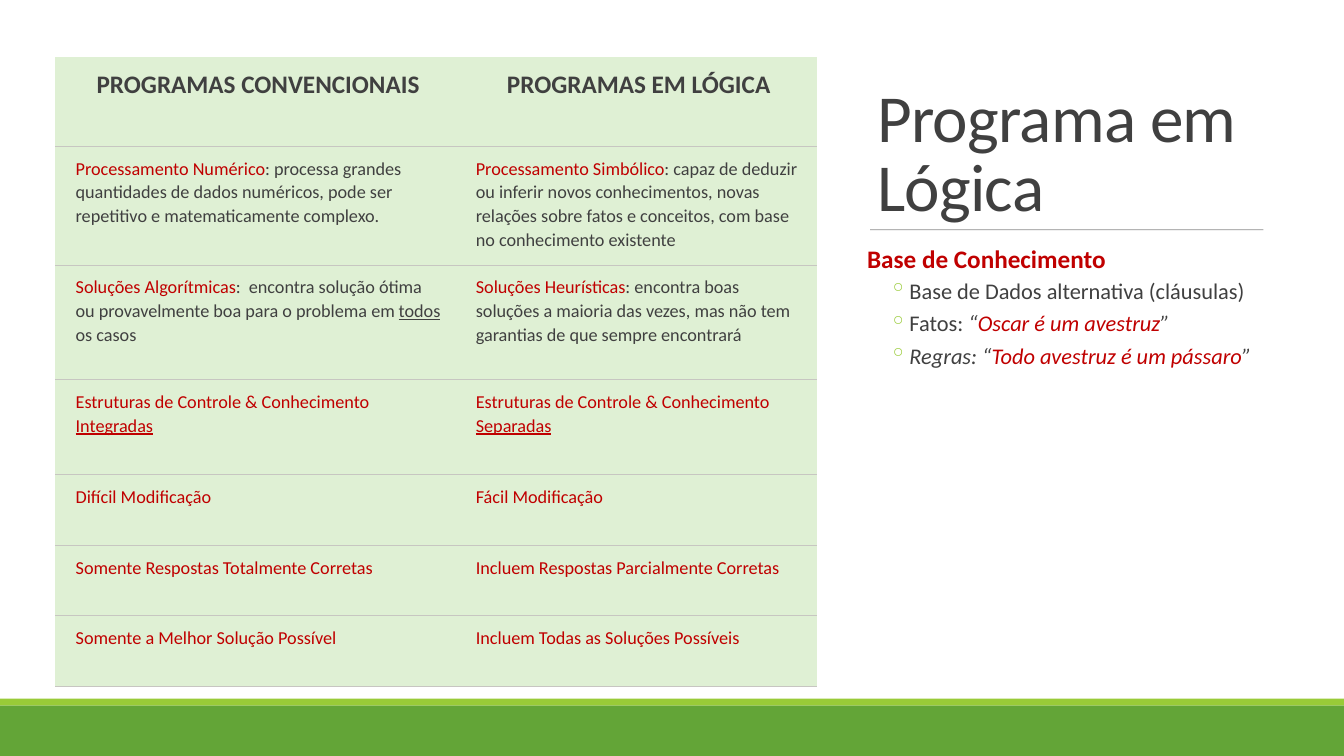
from dataclasses import dataclass
from itertools import product
from typing import NamedTuple

from lxml.etree import SubElement
from pptx import Presentation
from pptx.dml.color import RGBColor
from pptx.enum.shapes import MSO_CONNECTOR, MSO_SHAPE
from pptx.enum.text import MSO_ANCHOR, PP_ALIGN
from pptx.oxml import parse_xml
from pptx.oxml.ns import nsdecls, qn
from pptx.util import Inches, Pt

WIDE, HIGH = Inches(13.33), Inches(7.5)
INK, RED, LIME, GREEN, PALE, RULE = (
    "404040", "C00000", "99CB38", "63A537", "DFF0D4", "C7C6C1")


class Run(NamedTuple):
    text: str
    color: str = INK
    look: dict = {}


@dataclass
class Para:
    runs: list[Run]
    size: float
    form: dict
    indent: float = 0
    hang: float = 0
    bullet: str = ""


@dataclass
class Box:
    """Left, top, width and height in percent of the slide."""
    left: float
    top: float
    width: float
    height: float

    def place(self) -> tuple[int, int, int, int]:
        return across(self.left), down(self.top), across(self.width), down(self.height)


def across(share: float) -> int:
    return int(WIDE * share / 100)


def down(share: float) -> int:
    return int(HIGH * share / 100)


def tint(code: str) -> RGBColor:
    return RGBColor.from_string(code)


def apply(item, values: dict) -> None:
    for name, value in values.items():
        setattr(item, name, value)


def write(frame, paras: list[Para]) -> None:
    for rank, para in enumerate(paras):
        line = frame.add_paragraph() if rank else frame.paragraphs[0]
        apply(line, para.form)
        if para.indent:
            props = line._p.get_or_add_pPr()
            props.set("marL", str(Inches(para.indent)))
            props.set("indent", str(-Inches(para.hang)))
            if para.bullet:
                color = SubElement(props, qn("a:buClr"))
                SubElement(color, qn("a:srgbClr"), val=LIME)
                SubElement(props, qn("a:buChar"), char=para.bullet)
        for part in para.runs:
            run = line.add_run()
            run.text = part.text
            apply(run.font, {"name": "Calibri", "size": Pt(para.size), **part.look})
            run.font.color.rgb = tint(part.color)


def add_text(slide, box: Box, paras: list[Para], form: dict):
    frame = slide.shapes.add_textbox(*box.place()).text_frame
    apply(frame, {"word_wrap": True, **form})
    write(frame, paras)
    return frame


def add_bar(slide, box: Box, color: str) -> None:
    bar = slide.shapes.add_shape(MSO_SHAPE.RECTANGLE, *box.place())
    bar.shadow.inherit = False
    bar.fill.solid()
    bar.fill.fore_color.rgb = tint(color)
    bar.line.fill.background()


def add_rule(slide, left: float, right: float, top: float) -> None:
    rule = slide.shapes.add_connector(
        MSO_CONNECTOR.STRAIGHT, across(left), down(top), across(right), down(top))
    rule.line.width = Pt(0.5)
    rule.line.color.rgb = tint("808080")
    shade = rule.line._ln.find(".//" + qn("a:srgbClr"))
    SubElement(shade, qn("a:alpha"), val="90000")
    SubElement(rule._element.spPr, qn("a:effectLst"))


def set_edges(cell, first: bool) -> None:
    """Rule the cell above and below, with no line on the table's top."""
    drawn = {"L": False, "R": False, "T": not first, "B": True}
    for spot, (side, shown) in enumerate(drawn.items()):
        fill = (f'<a:solidFill><a:srgbClr val="{RULE}"/></a:solidFill>'
                if shown else "<a:noFill/>")
        edge = f'<a:ln{side} {nsdecls("a")} w="{Pt(0.75)}">{fill}</a:ln{side}>'
        cell._tc.get_or_add_tcPr().insert(spot, parse_xml(edge))


def add_grid(slide, left: float, top: float, cols: list[float],
             rows: list[float], cells: list[list[list[Run]]]) -> None:
    box = Box(left, top, sum(cols), sum(rows))
    table = slide.shapes.add_table(len(rows), len(cols), *box.place()).table
    apply(table, {"first_row": False, "horz_banding": False})
    for col, share in zip(table.columns, cols):
        col.width = across(share)
    for row, share in zip(table.rows, rows):
        row.height = down(share)
    for r, c in product(range(len(rows)), range(len(cols))):
        cell = table.cell(r, c)
        apply(cell, {"margin_left": Inches(0.2), "margin_right": Inches(0.15),
                     "margin_top": Inches(0.1), "margin_bottom": Inches(0.1)})
        cell.fill.solid()
        cell.fill.fore_color.rgb = tint(PALE)
        set_edges(cell, r == 0)
        align = PP_ALIGN.LEFT if r else PP_ALIGN.CENTER
        form = {"line_spacing": 1.07, "alignment": align}
        write(cell.text_frame, [Para(cells[r][c], 13 if r else 18, form)])


BOLD, SLANT, UNDER = {"bold": True}, {"italic": True}, {"underline": True}
CONTROL = Run("Estruturas de Controle & Conhecimento ", RED)
CELLS = [
    [[Run("PROGRAMAS CONVENCIONAIS", INK, BOLD)],
     [Run("PROGRAMAS EM LÓGICA", INK, BOLD)]],
    [[Run("Processamento Numérico", RED),
      Run(": processa grandes quantidades de dados numéricos, pode ser "
          "repetitivo e matematicamente complexo.")],
     [Run("Processamento Simbólico", RED),
      Run(": capaz de deduzir ou inferir novos conhecimentos, novas relações "
          "sobre fatos e conceitos, com base no conhecimento existente")]],
    [[Run("Soluções Algorítmicas", RED),
      Run(":  encontra solução ótima ou provavelmente boa para o problema em "),
      Run("todos", INK, UNDER), Run(" os casos")],
     [Run("Soluções Heurísticas", RED),
      Run(": encontra boas soluções a maioria das vezes, mas não tem "
          "garantias de que sempre encontrará")]],
    [[CONTROL, Run("Integradas", RED, UNDER)],
     [CONTROL, Run("Separadas", RED, UNDER)]],
    [[Run("Difícil Modificação", RED)], [Run("Fácil Modificação", RED)]],
    [[Run("Somente Respostas Totalmente Corretas", RED)],
     [Run("Incluem Respostas Parcialmente Corretas", RED)]],
    [[Run("Somente a Melhor Solução Possível", RED)],
     [Run("Incluem Todas as Soluções Possíveis", RED)]],
]
POINTS = [
    [Run("Base de Dados alternativa (cláusulas)")],
    [Run("Fatos: "), Run("“", INK, SLANT),
     Run("Oscar é um avestruz", RED, SLANT), Run("”", INK, SLANT)],
    [Run("Regras: “", INK, SLANT),
     Run("Todo avestruz é um pássaro", RED, SLANT), Run("”", INK, SLANT)],
]


def main() -> None:
    deck = Presentation()
    apply(deck, {"slide_width": WIDE, "slide_height": HIGH})
    slide = deck.slides.add_slide(deck.slide_layouts[6])

    title = Para([Run("Programa em Lógica")], 48, {"line_spacing": 0.85})
    frame = add_text(slide, Box(64.52, 9.2, 30.31, 21.2), [title],
                     {"vertical_anchor": MSO_ANCHOR.BOTTOM})
    frame.paragraphs[0].runs[0].font._element.set("spc", "-50")
    add_rule(slide, 64.74, 94, 30.4)

    head = {"line_spacing": 0.9, "space_before": Pt(12), "space_after": Pt(2)}
    item = {"line_spacing": 0.9, "space_before": Pt(2), "space_after": Pt(4), "level": 1}
    body = [Para([Run("Base de Conhecimento", RED, BOLD)], 18, head, 0.1, 0.1)]
    body += [Para(runs, 16, item, 0.42, 0.2, "◦") for runs in POINTS]
    add_text(slide, Box(64.52, 32, 30.31, 53.47), body,
             {"margin_left": 0, "margin_right": 0})

    add_bar(slide, Box(0, 92.4, 100, 0.93), LIME)
    add_bar(slide, Box(0, 93.33, 100, 6.67), GREEN)
    add_grid(slide, 4.13, 7.6, [29.78, 26.86],
             [11.73, 15.73, 15.2, 12.53, 9.33, 9.33, 9.33], CELLS)
    deck.save("out.pptx")


if __name__ == "__main__":
    main()
